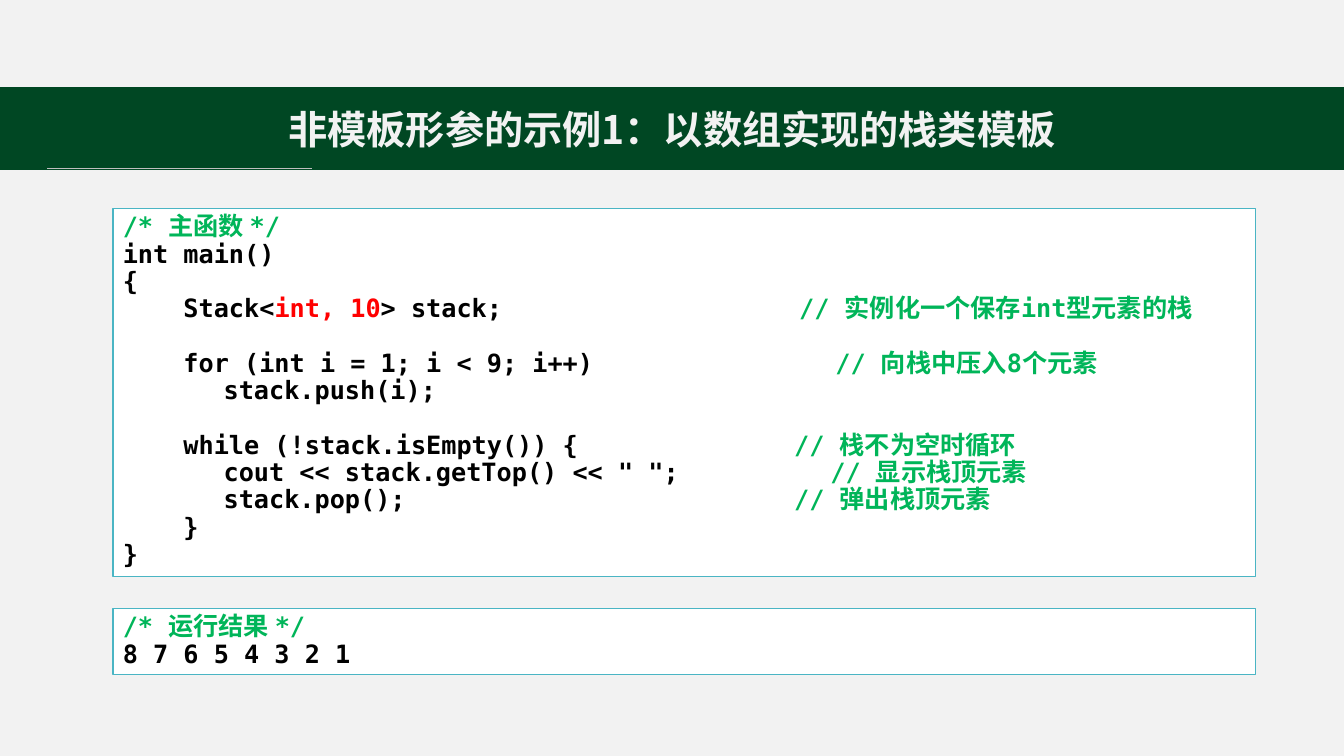
"""Build a slide showing a stack template's main function and its output."""
from dataclasses import dataclass
from typing import Optional

from lxml.etree import SubElement
from pptx import Presentation
from pptx.dml.color import RGBColor
from pptx.enum.shapes import MSO_CONNECTOR, MSO_SHAPE
from pptx.enum.text import MSO_ANCHOR, PP_ALIGN
from pptx.oxml.ns import qn
from pptx.util import Inches, Pt

W, H = Inches(13.333), Inches(7.5)
COLORS = {
    "page": "F2F2F2", "band": "004723", "rule": "BFBFBF", "panel": "FFFFFF",
    "border": "4AB5C4", "code": "000000", "comment": "00B559", "accent": "FF0000",
}
MONO, SANS = "DejaVu Sans Mono", "Noto Sans CJK SC"
LEADING = Pt(19.5)
INDENT = 1.0


@dataclass(frozen=True)
class Box:
    left: float
    top: float
    width: float
    height: float
    fill: str
    line: Optional[str] = None


@dataclass(frozen=True)
class CodeLine:
    spans: tuple[tuple[str, str], ...]
    comment: str = ""
    stop: float = 0
    gap: bool = False


def code(text: str, comment: str = "", stop: float = 0, gap: bool = False) -> CodeLine:
    return CodeLine(((text, "code"),), comment, stop, gap)


def note(text: str) -> CodeLine:
    return CodeLine(((text, "comment"),))


TOP = Box(0, 0, 1, 0.116, "page")
BAND = Box(0, 0.116, 1, 0.108, "band", "band")
SOURCE = Box(0.084, 0.276, 0.85, 0.487, "panel", "border")
OUTPUT = Box(0.084, 0.805, 0.85, 0.087, "panel", "border")

MAIN = (
    note("/* 主函数 */"),
    code("int main()"),
    code("{"),
    CodeLine((("    Stack<", "code"), ("int, 10", "accent"), ("> stack;", "code")),
             "// 实例化一个保存int型元素的栈", 6.71),
    code("    for (int i = 1; i < 9; i++)", "// 向栈中压入8个元素", 7.07, gap=True),
    code("\tstack.push(i);"),
    code("    while (!stack.isEmpty()) {", "// 栈不为空时循环", 6.66, gap=True),
    code('\tcout << stack.getTop() << " ";', "// 显示栈顶元素", 7.02),
    code("\tstack.pop();", "// 弹出栈顶元素", 6.66),
    code("    }"),
    code("}"),
)
RESULT = (note("/* 运行结果 */"), code("8 7 6 5 4 3 2 1"))


def rgb(name: str) -> RGBColor:
    return RGBColor.from_string(COLORS[name])


def add_box(s, box: Box):
    sp = s.shapes.add_shape(MSO_SHAPE.RECTANGLE, round(box.left * W), round(box.top * H),
                            round(box.width * W), round(box.height * H))
    sp.shadow.inherit = False
    sp.fill.solid()
    sp.fill.fore_color.rgb = rgb(box.fill)
    if box.line:
        sp.line.color.rgb = rgb(box.line)
        sp.line.width = Pt(1)
    else:
        sp.line.fill.background()
    return sp


def add_text(p, text: str, *, color: str, font: str = MONO, size: float = 18) -> None:
    r = p.add_run()
    r.text = text
    r.font.name, r.font.size, r.font.bold = font, Pt(size), True
    r.font.color.rgb = rgb(color)
    SubElement(r.font._element, qn("a:ea")).set("typeface", SANS)


def add_tabs(p, *stops: float) -> None:
    tabs = SubElement(p._p.get_or_add_pPr(), qn("a:tabLst"))
    for stop in stops:
        tab = SubElement(tabs, qn("a:tab"))
        tab.set("pos", str(Inches(stop)))
        tab.set("algn", "l")


def add_code(s, box: Box, lines: tuple[CodeLine, ...]) -> None:
    tf = add_box(s, box).text_frame
    tf.word_wrap = True
    tf.vertical_anchor = MSO_ANCHOR.TOP
    for i, line in enumerate(lines):
        p = tf.add_paragraph() if i else tf.paragraphs[0]
        add_tabs(p, *((INDENT, line.stop) if line.stop else (INDENT,)))
        p.alignment = PP_ALIGN.LEFT
        p.line_spacing = LEADING
        if line.gap:
            p.space_before = LEADING
        for text, color in line.spans:
            add_text(p, text, color=color)
        if line.comment:
            add_text(p, "\t" + line.comment, color="comment")


def add_title(s, text: str) -> None:
    tf = add_box(s, BAND).text_frame
    tf.vertical_anchor = MSO_ANCHOR.MIDDLE
    p = tf.paragraphs[0]
    p.alignment = PP_ALIGN.CENTER
    add_text(p, text, color="page", font=SANS, size=28)


def add_rule(s, left: float, right: float, y: float) -> None:
    cx = s.shapes.add_connector(MSO_CONNECTOR.STRAIGHT, round(left * W), round(y * H),
                                round(right * W), round(y * H))
    cx.line.color.rgb = rgb("rule")
    cx.line.width = Pt(0.5)
    SubElement(cx._element.spPr, qn("a:effectLst"))


def main() -> None:
    prs = Presentation()
    prs.slide_width, prs.slide_height = W, H
    s = prs.slides.add_slide(prs.slide_layouts[6])
    s.background.fill.solid()
    s.background.fill.fore_color.rgb = rgb("page")
    add_box(s, TOP)
    add_title(s, "非模板形参的示例1：以数组实现的栈类模板")
    add_rule(s, 0.035, 0.232, 0.223)
    add_code(s, SOURCE, MAIN)
    add_code(s, OUTPUT, RESULT)
    prs.save("out.pptx")


if __name__ == "__main__":
    main()
